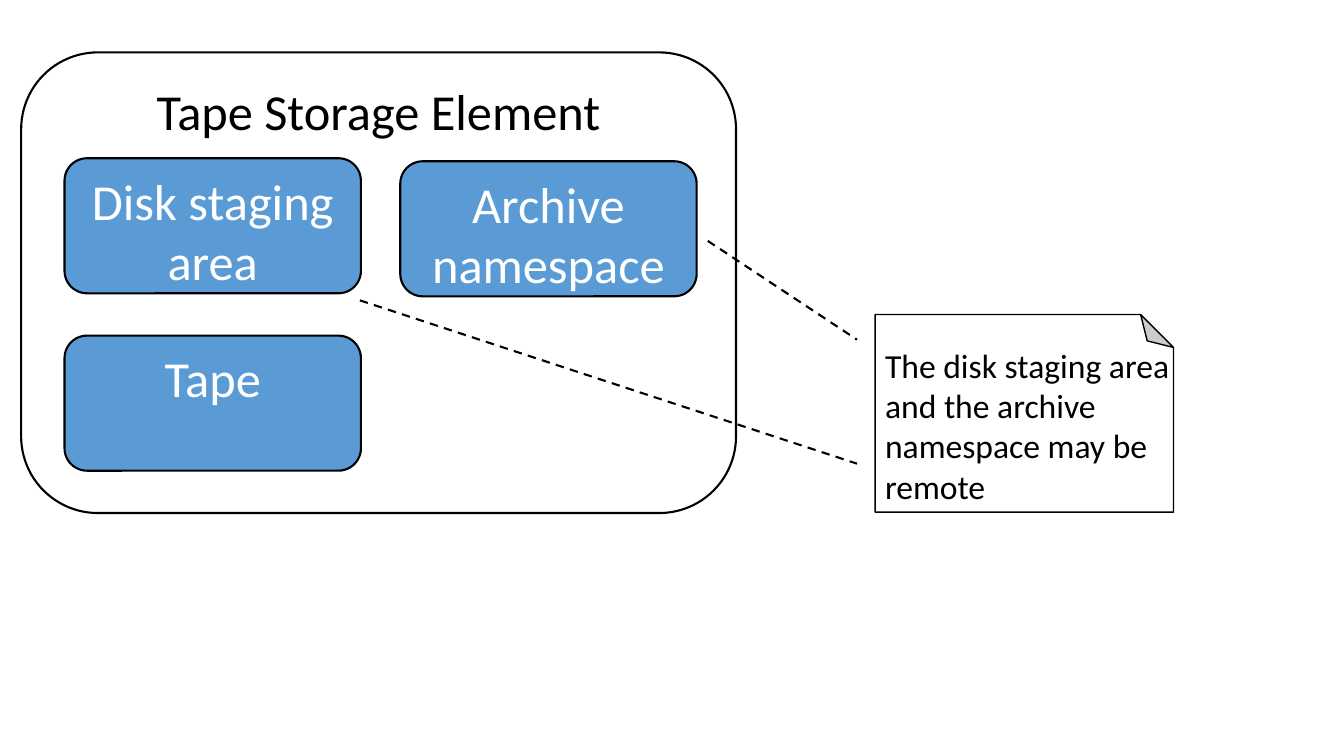
from lxml import etree
from pptx import Presentation
from pptx.dml.color import RGBColor
from pptx.enum.dml import MSO_LINE
from pptx.enum.shapes import MSO_CONNECTOR, MSO_SHAPE
from pptx.enum.text import MSO_ANCHOR, PP_ALIGN
from pptx.oxml.ns import qn
from pptx.util import Inches, Pt

ROUND, FOLDED = MSO_SHAPE.ROUNDED_RECTANGLE, MSO_SHAPE.FOLDED_CORNER
STRAIGHT, DASH = MSO_CONNECTOR.STRAIGHT, MSO_LINE.DASH
TOP, CENTER, LEFT = MSO_ANCHOR.TOP, PP_ALIGN.CENTER, PP_ALIGN.LEFT

THEME = {
    "font": "Calibri",
    "ink": RGBColor(0, 0, 0),
    "paper": RGBColor(255, 255, 255),
    "block": RGBColor(0x5B, 0x9B, 0xD5),
    "label": Pt(36),
    "note": Pt(24),
    "line": Pt(1.5),
    "thin": Pt(1),
}

deck = Presentation()
deck.slide_width, deck.slide_height = Inches(13.33), Inches(7.5)
slide = deck.slides.add_slide(deck.slide_layouts[6])
UNIT = deck.slide_height / 7.5  # the slide is 7.5 grid rows high


def grid(*cells):
    return [round(cell * UNIT) for cell in cells]


def write(shape, text, size, color, align):
    frame = shape.text_frame
    frame.word_wrap = True
    frame.vertical_anchor = TOP
    line = frame.paragraphs[0]
    line.text = text
    line.alignment = align
    line.font.name = THEME["font"]
    line.font.size = size
    line.font.color.rgb = color


# Storage element: a frame with blocks on a two-column grid
left, top, wide, high = 0.64, 1.57, 2.94, 1.34
across, down = 3.33, 1.76
nudge = 0.03
boxes = [
    ("Tape Storage Element", (0.21, 0.52, 7.09, 4.57), "paper", "ink"),
    ("Disk staging area", (left, top, wide, high), "block", "paper"),
    ("Archive namespace", (left + across, top + nudge, wide, high), "block", "paper"),
    ("Tape", (left, top + down, wide, high), "block", "paper"),
]
group = slide.shapes.add_group_shape()
for text, place, fill, color in boxes:
    box = group.shapes.add_shape(ROUND, *grid(*place))
    box.shadow.inherit = False
    box.fill.solid()
    box.fill.fore_color.rgb = THEME[fill]
    box.line.color.rgb = THEME["ink"]
    box.line.width = THEME["line"]
    write(box, text, THEME["label"], THEME[color], CENTER)

# Note: a sheet turned so that its fold is at the top right
sheet = slide.shapes.add_shape(FOLDED, *grid(9.18, 2.62, 1.96, 2.96))
sheet.rotation = 270
sheet.shadow.inherit = False
sheet.fill.solid()
sheet.fill.fore_color.rgb = THEME["paper"]
sheet.line.color.rgb = THEME["ink"]
sheet.line.width = THEME["thin"]

note = slide.shapes.add_textbox(*grid(8.68, 3.37, 3.16, 1.72))
write(note, "The disk staging area and the archive namespace may be remote",
      THEME["note"], THEME["ink"], LEFT)

# Dashed links from the blocks to the note
for ends in [(3.57, 2.98, 8.5, 4.6), (7.02, 2.39, 8.5, 3.37)]:
    link = slide.shapes.add_connector(STRAIGHT, *grid(*ends))
    link.line.color.rgb = THEME["ink"]
    link.line.width = THEME["line"]
    link.line.dash_style = DASH
    etree.SubElement(link._element.spPr, qn("a:effectLst"))

deck.save("out.pptx")
